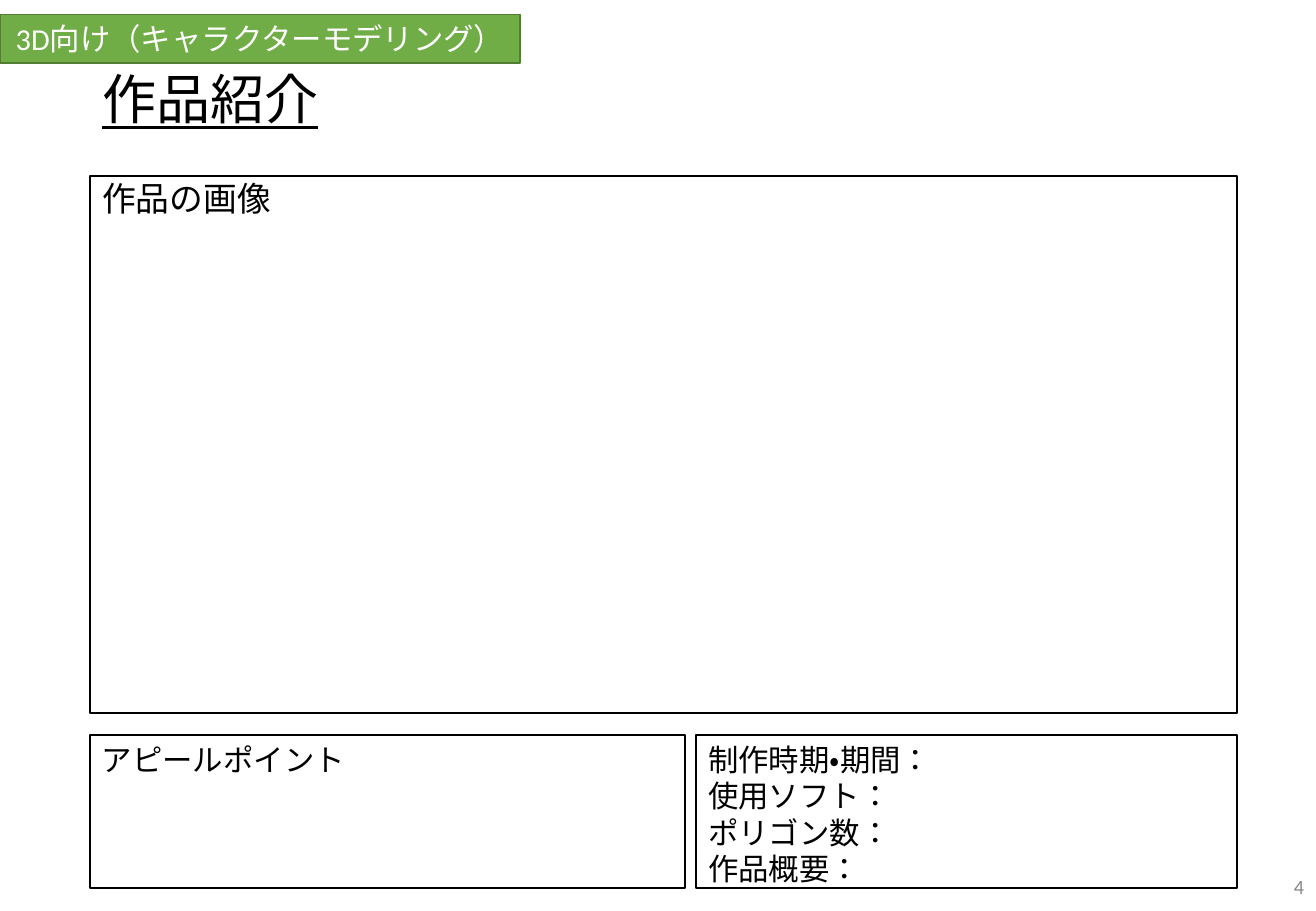
from pptx import Presentation
from pptx.dml.color import RGBColor
from pptx.enum.lang import MSO_LANGUAGE_ID
from pptx.enum.shapes import MSO_SHAPE
from pptx.enum.text import MSO_ANCHOR, MSO_AUTO_SIZE, PP_ALIGN
from pptx.oxml.ns import qn
from pptx.util import Inches, Pt

LEFT, CENTER, RIGHT = PP_ALIGN.LEFT, PP_ALIGN.CENTER, PP_ALIGN.RIGHT
TOP, MIDDLE = MSO_ANCHOR.TOP, MSO_ANCHOR.MIDDLE
RECTANGLE = MSO_SHAPE.RECTANGLE
JAPANESE = MSO_LANGUAGE_ID.JAPANESE
NO_AUTOFIT = MSO_AUTO_SIZE.NONE

# Content
TITLE = ["作品紹介"]
ARTWORK = ["作品の画像"]
CATEGORY = ["3D向け（キャラクターモデリング）"]
APPEAL = ["アピールポイント"]
DETAILS = ["制作時期・期間：", "使用ソフト：", "ポリゴン数：", "作品概要："]
PAGE_NUMBER = ["4"]

FONT = "Calibri"
COLORS = {"black": "000000", "white": "FFFFFF", "gray": "888888",
          "green": "70AD47", "dark green": "517E33"}

# Layout
PAGE_WIDTH, PAGE_HEIGHT = 10.83, 7.5
MARGIN, CONTENT_WIDTH = 0.74, 9.44
PANEL_TOP, PANEL_HEIGHT = 6.05, 1.26
APPEAL_WIDTH, PANEL_GAP = 4.9, 0.09
DETAILS_LEFT = MARGIN + APPEAL_WIDTH + PANEL_GAP
DETAILS_WIDTH = MARGIN + CONTENT_WIDTH - DETAILS_LEFT
NUMBER_WIDTH, NUMBER_HEIGHT = 2.44, 0.4


def color(name):
    return RGBColor.from_string(COLORS[name])


def place(box, left, top, width, height):
    box.left, box.top = Inches(left), Inches(top)
    box.width, box.height = Inches(width), Inches(height)


def paint(box, fill, line):
    box.fill.solid()
    box.fill.fore_color.rgb = color(fill)
    box.line.color.rgb = color(line)
    box.line.width = Pt(1)


def write(box, lines, size, ink="black", align=LEFT, anchor=TOP,
          spacing=1.0, underline=False):
    frame = box.text_frame
    frame.word_wrap = True
    frame.auto_size = NO_AUTOFIT
    frame.vertical_anchor = anchor
    frame.margin_left = frame.margin_right = Inches(0.1)
    frame.margin_top = frame.margin_bottom = Inches(0.05)
    for index, line in enumerate(lines):
        para = frame.add_paragraph() if index else frame.paragraphs[0]
        para.alignment = align
        para.line_spacing = spacing
        para.space_before = Pt(0)
        span = para.add_run()
        span.text = line
        span.font.name = FONT
        span.font.size = Pt(size)
        span.font.color.rgb = color(ink)
        span.font.language_id = JAPANESE
        if underline:
            span.font.underline = True


def add_panel(page, area, fill, line):
    box = page.shapes.add_shape(RECTANGLE, *map(Inches, area))
    box.shadow.inherit = False
    paint(box, fill, line)
    return box


def main():
    deck = Presentation()
    deck.slide_width, deck.slide_height = Inches(PAGE_WIDTH), Inches(PAGE_HEIGHT)
    page = deck.slides.add_slide(deck.slide_layouts[1])

    # Title
    title = page.shapes.title
    place(title, MARGIN, 0.4, 9.34, 0.88)
    write(title, TITLE, 32, anchor=MIDDLE, spacing=0.9, underline=True)

    # Artwork area, without a bullet
    artwork = page.placeholders[1]
    place(artwork, MARGIN, 1.45, CONTENT_WIDTH, 4.42)
    paint(artwork, "white", "black")
    write(artwork, ARTWORK, 20, spacing=0.9)
    properties = artwork.text_frame.paragraphs[0]._p.get_or_add_pPr()
    properties.set("marL", "0")
    properties.set("indent", "0")
    properties.append(properties.makeelement(qn("a:buNone"), {}))

    # Page number
    number = page.shapes.add_textbox(
        Inches(PAGE_WIDTH - NUMBER_WIDTH), Inches(PAGE_HEIGHT - NUMBER_HEIGHT),
        Inches(NUMBER_WIDTH), Inches(NUMBER_HEIGHT))
    write(number, PAGE_NUMBER, 12, "gray", RIGHT, MIDDLE)

    # Lower panels
    for lines, left, width in [(DETAILS, DETAILS_LEFT, DETAILS_WIDTH),
                               (APPEAL, MARGIN, APPEAL_WIDTH)]:
        panel = add_panel(page, (left, PANEL_TOP, width, PANEL_HEIGHT),
                          "white", "black")
        write(panel, lines, 18)

    # Category label
    label = add_panel(page, (0, 0.12, 4.28, 0.4), "green", "dark green")
    write(label, CATEGORY, 18, "white", CENTER, MIDDLE)

    deck.save("out.pptx")


if __name__ == "__main__":
    main()
